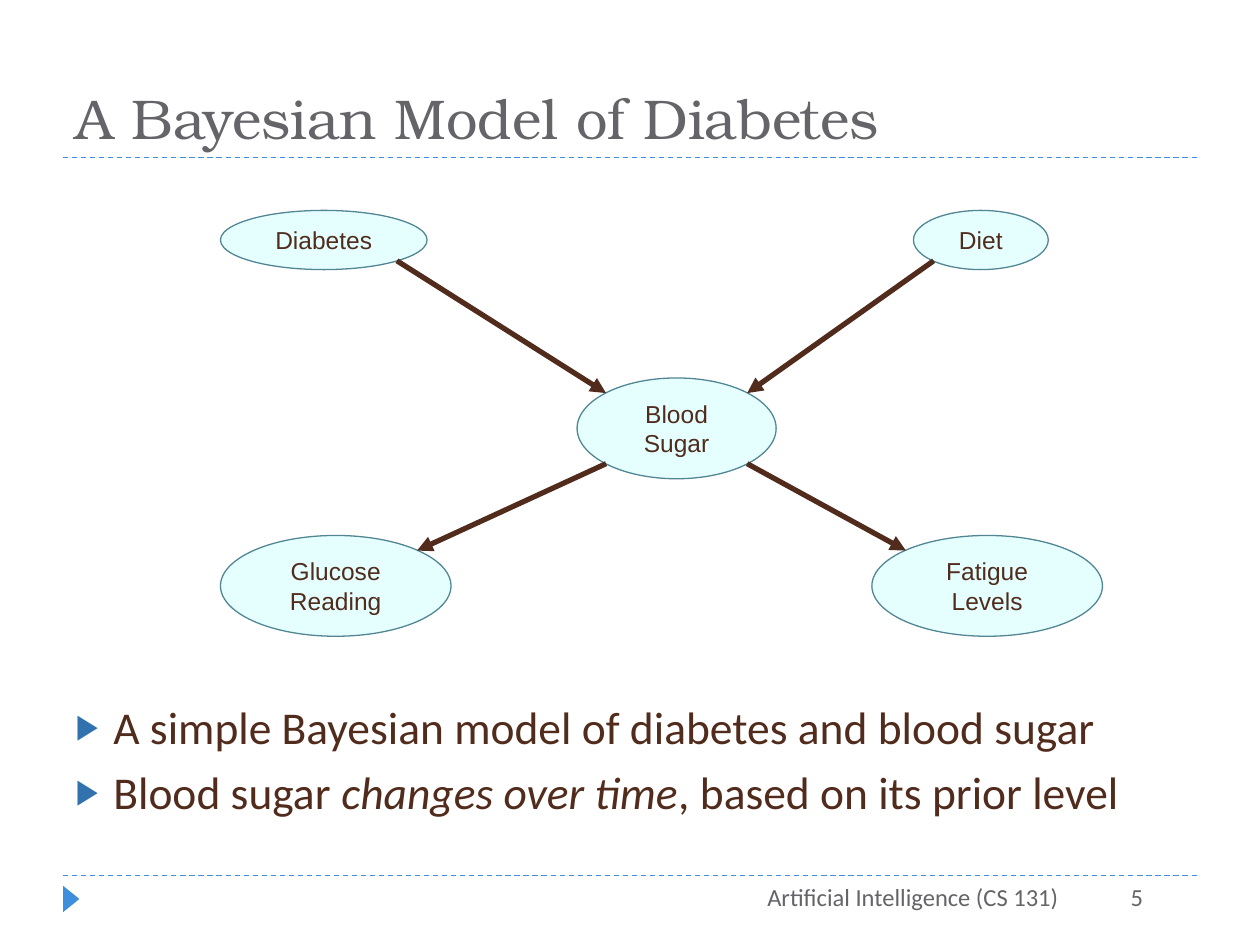
from dataclasses import dataclass
from math import sqrt

from lxml.etree import SubElement
from pptx import Presentation
from pptx.dml.color import RGBColor as Color
from pptx.enum.dml import MSO_LINE_DASH_STYLE as Dash
from pptx.enum.shapes import MSO_CONNECTOR as Connector, MSO_SHAPE as Shape
from pptx.enum.text import MSO_ANCHOR as Anchor, MSO_AUTO_SIZE as AutoSize, PP_ALIGN as Align
from pptx.oxml.ns import qn
from pptx.util import Pt

EMU_PER_PX = 9144


def px(length: int) -> int:
    return length * EMU_PER_PX


@dataclass(frozen=True)
class TextStyle:
    font: str
    size: int
    color: str


@dataclass(frozen=True)
class Theme:
    title: TextStyle = TextStyle("TeX Gyre Bonum", 32, "646469")
    body: TextStyle = TextStyle("Calibri", 26, "512C1D")
    node: TextStyle = TextStyle("Arial", 14, "512C1D")
    footer: TextStyle = TextStyle("Calibri", 14, "646469")
    node_fill: str = "E5FFFF"
    node_line: str = "528693"
    arrow: str = "512C1D"
    accent: str = "3E8EDE"
    bullet: str = "3071AE"


@dataclass(frozen=True)
class Box:
    left: int
    top: int
    width: int
    height: int

    def emu(self) -> tuple[int, ...]:
        return tuple(px(side) for side in (self.left, self.top, self.width, self.height))


@dataclass(frozen=True)
class Node:
    label: str
    box: Box

    def diagonal_point(self, horizontal: int, vertical: int) -> tuple[int, int]:
        box = self.box
        x = box.left + box.width / 2 * (1 + horizontal / sqrt(2))
        y = box.top + box.height / 2 * (1 + vertical / sqrt(2))
        return round(x), round(y)


@dataclass(frozen=True)
class Edge:
    cause: Node
    effect: Node
    horizontal: int


THEME = Theme()
DIABETES = Node("Diabetes", Box(175, 167, 164, 47))
DIET = Node("Diet", Box(725, 167, 107, 47))
BLOOD_SUGAR = Node("Blood Sugar", Box(458, 300, 158, 80))
GLUCOSE = Node("Glucose Reading", Box(175, 425, 183, 80))
FATIGUE = Node("Fatigue Levels", Box(692, 425, 183, 80))
NODES = (DIABETES, DIET, BLOOD_SUGAR, GLUCOSE, FATIGUE)
EDGES = (
    Edge(DIABETES, BLOOD_SUGAR, 1),
    Edge(DIET, BLOOD_SUGAR, -1),
    Edge(BLOOD_SUGAR, GLUCOSE, -1),
    Edge(BLOOD_SUGAR, FATIGUE, 1),
)
BULLETS = (
    (("A simple Bayesian model of diabetes and blood sugar", False),),
    (("Blood sugar ", False), ("changes over time", True), (", based on its prior level", False)),
)
FOOTERS = (
    ("Artificial Intelligence (CS 131)", Box(383, 695, 467, 40)),
    ("5", Box(808, 695, 109, 40)),
)


def style_text(text_frame, style: TextStyle, align: Align) -> None:
    for paragraph in text_frame.paragraphs:
        paragraph.alignment = align
        for run in paragraph.runs:
            run.font.name = style.font
            run.font.size = Pt(style.size)
            run.font.color.rgb = Color.from_string(style.color)


def place(shape, box: Box) -> None:
    shape.left, shape.top, shape.width, shape.height = box.emu()


def fill_shape(shape, color: str) -> None:
    shape.shadow.inherit = False
    shape.fill.solid()
    shape.fill.fore_color.rgb = Color.from_string(color)


def add_line(slide, start: tuple[int, int], end: tuple[int, int], color: str, width: float):
    points = (px(value) for value in (*start, *end))
    connector = slide.shapes.add_connector(Connector.STRAIGHT, *points)
    connector.line.color.rgb = Color.from_string(color)
    connector.line.width = Pt(width)
    SubElement(connector._element.spPr, qn("a:effectLst"))
    return connector


def add_rule(slide, y: int) -> None:
    rule = add_line(slide, (50, y), (950, y), THEME.accent, 0.75)
    rule.line.dash_style = Dash.DASH


def add_edge(slide, edge: Edge) -> None:
    start = edge.cause.diagonal_point(edge.horizontal, 1)
    end = edge.effect.diagonal_point(-edge.horizontal, -1)
    arrow = add_line(slide, start, end, THEME.arrow, 3)
    SubElement(arrow.line._get_or_add_ln(), qn("a:tailEnd"), type="triangle")


def add_node(slide, node: Node) -> None:
    ellipse = slide.shapes.add_shape(Shape.OVAL, *node.box.emu())
    fill_shape(ellipse, THEME.node_fill)
    ellipse.line.color.rgb = Color.from_string(THEME.node_line)
    ellipse.line.width = Pt(0.75)
    text_frame = ellipse.text_frame
    text_frame.word_wrap = True
    text_frame.vertical_anchor = Anchor.MIDDLE
    text_frame.text = node.label
    style_text(text_frame, THEME.node, Align.CENTER)


def add_footer(slide, text: str, box: Box) -> None:
    text_frame = slide.shapes.add_textbox(*box.emu()).text_frame
    text_frame.word_wrap = True
    text_frame.text = text
    style_text(text_frame, THEME.footer, Align.RIGHT)


def add_marker(slide) -> None:
    marker = slide.shapes.add_shape(Shape.ISOSCELES_TRIANGLE, *Box(46, 707, 21, 13).emu())
    marker.rotation = 90
    fill_shape(marker, THEME.accent)
    marker.line.fill.background()


def set_bullet(paragraph) -> None:
    paragraph.space_before = Pt(6)
    properties = paragraph._p.get_or_add_pPr()
    properties.set("marL", str(px(30)))
    properties.set("indent", str(px(-30)))
    color = SubElement(properties, qn("a:buClr"))
    SubElement(color, qn("a:srgbClr"), val=THEME.bullet)
    SubElement(properties, qn("a:buSzPct"), val="76000")
    SubElement(properties, qn("a:buFont"), typeface="Arial")
    SubElement(properties, qn("a:buChar"), char="▶")


def fill_title(title) -> None:
    place(title, Box(50, 17, 900, 108))
    title.text_frame.text = "A Bayesian Model of Diabetes"
    title.text_frame.vertical_anchor = Anchor.BOTTOM
    title.text_frame.auto_size = AutoSize.NONE
    style_text(title.text_frame, THEME.title, Align.LEFT)


def fill_body(body) -> None:
    place(body, Box(50, 550, 900, 123))
    text_frame = body.text_frame
    text_frame.auto_size = AutoSize.NONE
    for index, parts in enumerate(BULLETS):
        paragraph = text_frame.add_paragraph() if index else text_frame.paragraphs[0]
        for text, italic in parts:
            run = paragraph.add_run()
            run.text = text
            run.font.italic = italic
        set_bullet(paragraph)
    style_text(text_frame, THEME.body, Align.LEFT)


def main() -> None:
    presentation = Presentation()
    presentation.slide_width, presentation.slide_height = px(1000), px(750)
    slide = presentation.slides.add_slide(presentation.slide_layouts[1])
    for y in (125, 695):
        add_rule(slide, y)
    add_marker(slide)
    fill_title(slide.shapes.title)
    fill_body(slide.placeholders[1])
    for text, box in FOOTERS:
        add_footer(slide, text, box)
    for node in NODES:
        add_node(slide, node)
    for edge in EDGES:
        add_edge(slide, edge)
    presentation.save("out.pptx")


if __name__ == "__main__":
    main()
